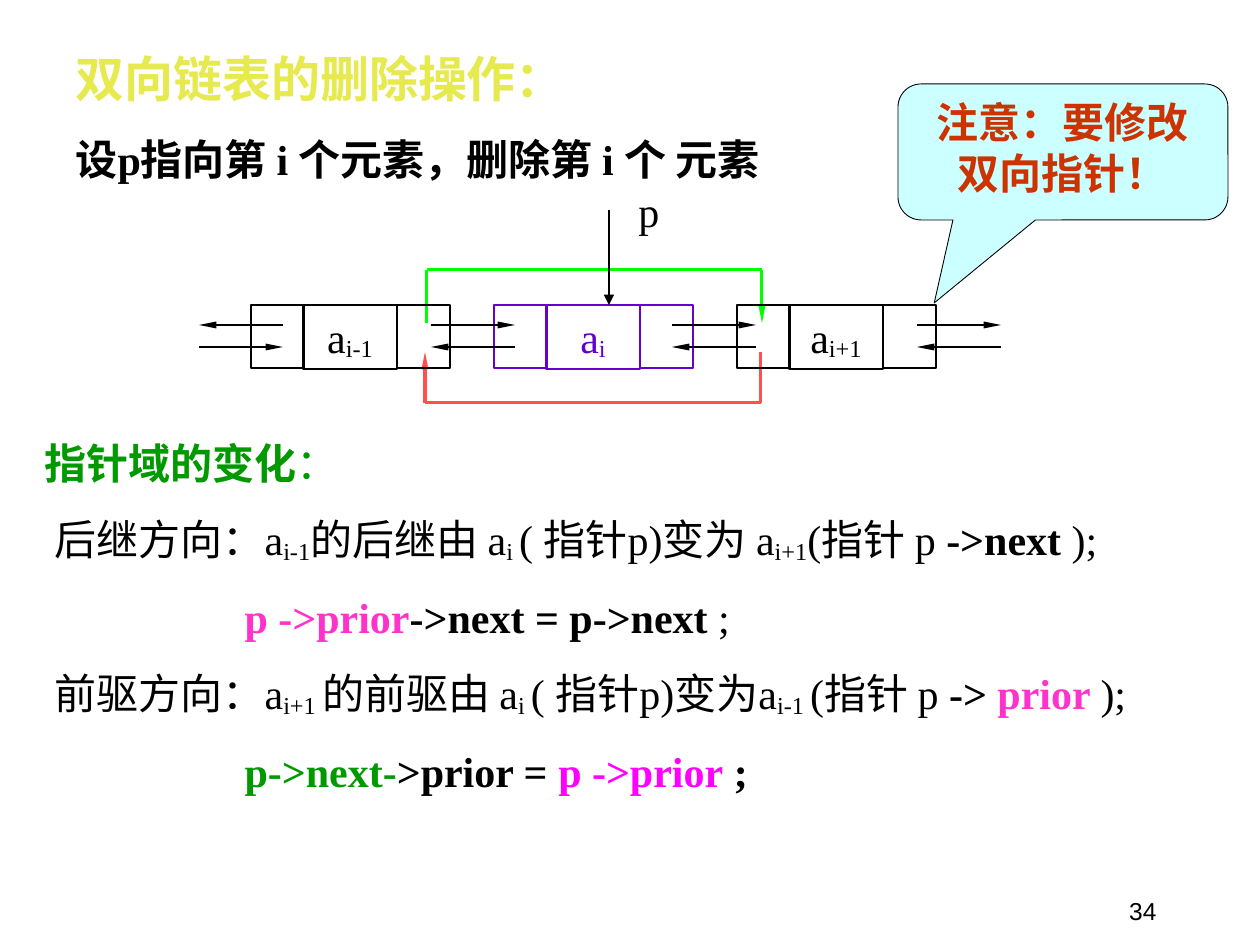
from lxml import etree
from pptx import Presentation, util as u
from pptx.dml.color import RGBColor
from pptx.enum import shapes, text
from pptx.oxml.ns import qn

PX = 914400 / 126
BLACK, PURPLE, GREEN, PINK = "000000", "6600CC", "009900", "FF33CC"
SUB = {"sub": True}
BOLD = {"bold": True}


def px(value):
    return u.Emu(round(value * PX))


def rgb(color):
    return RGBColor.from_string(color)


def place(shape, left, top, width, height):
    shape.left, shape.top, shape.width, shape.height = map(px, (left, top, width, height))


def prepare(shape, anchor=text.MSO_ANCHOR.TOP):
    """Give a shape's text frame the wrapping and anchor used on this slide."""
    frame = shape.text_frame
    frame.word_wrap = True
    frame.auto_size = text.MSO_AUTO_SIZE.NONE
    frame.vertical_anchor = anchor
    return frame


def write(para, words, color=BLACK, size=24, font="Times New Roman", bold=False, sub=False):
    span = para.add_run()
    span.text = words
    span.font.name, span.font.size, span.font.bold = font, u.Pt(size), bold
    span.font.color.rgb = rgb(color)
    if sub:
        span._r.get_or_add_rPr().set("baseline", "-10000")


def add_para(frame, spans, align=text.PP_ALIGN.LEFT, margin=0, indent=0):
    """Fill the first paragraph if it is empty, otherwise add a spaced one."""
    first = not frame.paragraphs[0].runs
    para = frame.paragraphs[0] if first else frame.add_paragraph()
    props = para._p.get_or_add_pPr()
    props.set("marL", str(px(margin)))
    props.set("indent", str(px(indent)))
    etree.SubElement(props, qn("a:buNone"))
    para.alignment = align
    para.space_before = u.Pt(0 if first else 15)
    for words, style in spans:
        write(para, words, **style)


def add_line(page, start, end, color=BLACK, width=0.75, arrow=None):
    """Draw a line; arrow is the (width, length) of the head at its end."""
    line = page.shapes.add_connector(shapes.MSO_CONNECTOR.STRAIGHT, *map(px, start + end))
    line.line.color.rgb = rgb(color)
    line.line.width = u.Pt(width)
    if arrow:
        etree.SubElement(line.line._get_or_add_ln(), qn("a:tailEnd"),
                         type="triangle", w=arrow[0], len=arrow[1])
    etree.SubElement(line._element.spPr, qn("a:effectLst"))


def add_shape(page, kind, box, line, fill=None, width=0.75):
    shape = page.shapes.add_shape(kind, *map(px, box))
    shape.shadow.inherit = False
    if fill:
        shape.fill.solid()
        shape.fill.fore_color.rgb = rgb(fill)
    else:
        shape.fill.background()
    shape.line.color.rgb = rgb(line)
    shape.line.width = u.Pt(width)
    return shape


def add_heading(page, *box):
    title = page.shapes.title
    place(title, *box)
    frame = prepare(title)
    add_para(frame, [("双向链表的删除操作：", {"color": "E6EA4E", "size": 28, "bold": True})])
    add_para(frame, [("设p指向第 i 个元素，删除第 i 个 元素", BOLD)])


def add_explanation(page, *box):
    body = page.placeholders[1]
    place(body, *box)
    frame = prepare(body)
    pink, green = {"color": PINK, "bold": True}, {"color": GREEN, "bold": True}
    add_para(frame, [("指针域的变化", green), ("：", {"color": GREEN})])
    add_para(frame, [
        ("后继方向：a", {}), ("i-1", SUB), ("的后继由 a", {}), ("i ", SUB),
        ("( 指针p)变为 a", {}), ("i+1", SUB), ("(指针 p ", {}),
        ("->next ", BOLD), (");", {})], indent=10)
    add_para(frame, [("p ->prior", pink), ("->next = p->next", BOLD), (" ;", {})], margin=200)
    add_para(frame, [
        ("前驱方向：a", {}), ("i+1 ", SUB), ("的前驱由 a", {}), ("i ", SUB),
        ("( 指针p)变为a", {}), ("i-1 ", SUB), ("(指针 p ", {}),
        ("-> ", BOLD), ("prior ", pink), (");", {})], indent=10)
    add_para(frame, [
        ("p->next-", green), (">prior = ", BOLD),
        ("p ->prior", {"color": "FF00FF", "bold": True}), (" ;", BOLD)], margin=200)


def add_node(page, left, top, index, color):
    """Draw one list node: prior field, data field, next field."""
    rect = shapes.MSO_SHAPE.RECTANGLE
    for offset in (0, 146):
        add_shape(page, rect, (left + offset, top, 53, 63), color)
    data = add_shape(page, rect, (left + 52, top, 94, 64), color)
    add_para(prepare(data), [("a", {"color": color}), (index, {"color": color, "sub": True})],
             align=text.PP_ALIGN.CENTER)


def add_path(page, points, color):
    """Draw a bent pointer through the points, with a head at the last one."""
    for step, (start, end) in enumerate(zip(points, points[1:]), 1):
        add_line(page, start, end, color, 1.75,
                 ("sm", "lg") if step == len(points) - 1 else None)


def add_linked_list(page, left, top):
    add_path(page, [(left + 562, top + 47), (left + 562, top + 98),
                    (left + 226, top + 98), (left + 226, top + 47)], "FF5050")
    add_path(page, [(left + 228, top + 18), (left + 228, top - 35),
                    (left + 563, top - 35), (left + 563, top + 18)], "00FF00")
    nodes = [("i-1", BLACK), ("i", PURPLE), ("i+1", BLACK)]
    for place_in_list, (index, color) in enumerate(nodes):
        add_node(page, left + 52 + 243 * place_in_list, top, index, color)
    for offset in (0, 232, 473, 718):
        near, far = left + offset, left + offset + 84
        right_y, left_y = (top + 42, top + 20) if offset == 0 else (top + 20, top + 42)
        add_line(page, (near, right_y), (far, right_y), arrow=("sm", "lg"))
        add_line(page, (far, left_y), (near, left_y), arrow=("sm", "lg"))
    add_line(page, (left + 410, top - 95), (left + 410, top), arrow=("med", "med"))
    label = page.shapes.add_textbox(*map(px, (left + 427, top - 126, 63, 63)))
    add_para(prepare(label), [("p", {})])


def add_callout(page, *box):
    callout = add_shape(page, shapes.MSO_SHAPE.ROUNDED_RECTANGULAR_CALLOUT, box,
                        BLACK, "CCFFFF", 0.5)
    for number, value in enumerate((-0.39, 1.11, 0.17)):
        callout.adjustments[number] = value
    add_para(prepare(callout), [("注意：要修改双向指针！", {"color": "CC3300", "bold": True})],
             align=text.PP_ALIGN.CENTER)


def add_page_number(page, *box):
    number = page.shapes.add_textbox(*map(px, box))
    add_para(prepare(number, text.MSO_ANCHOR.BOTTOM), [("34", {"size": 14, "font": "Arial"})],
             align=text.PP_ALIGN.RIGHT)


def main():
    deck = Presentation()
    deck.slide_width, deck.slide_height = px(1260), px(945)
    page = deck.slides.add_slide(deck.slide_layouts[1])
    add_heading(page, 63, 42, 1018, 149)
    add_explanation(page, 32, 431, 1124, 473)
    add_linked_list(page, 199, 305)
    add_callout(page, 898, 84, 330, 136)
    add_page_number(page, 907, 869, 262, 63)
    deck.save("out.pptx")


if __name__ == "__main__":
    main()
